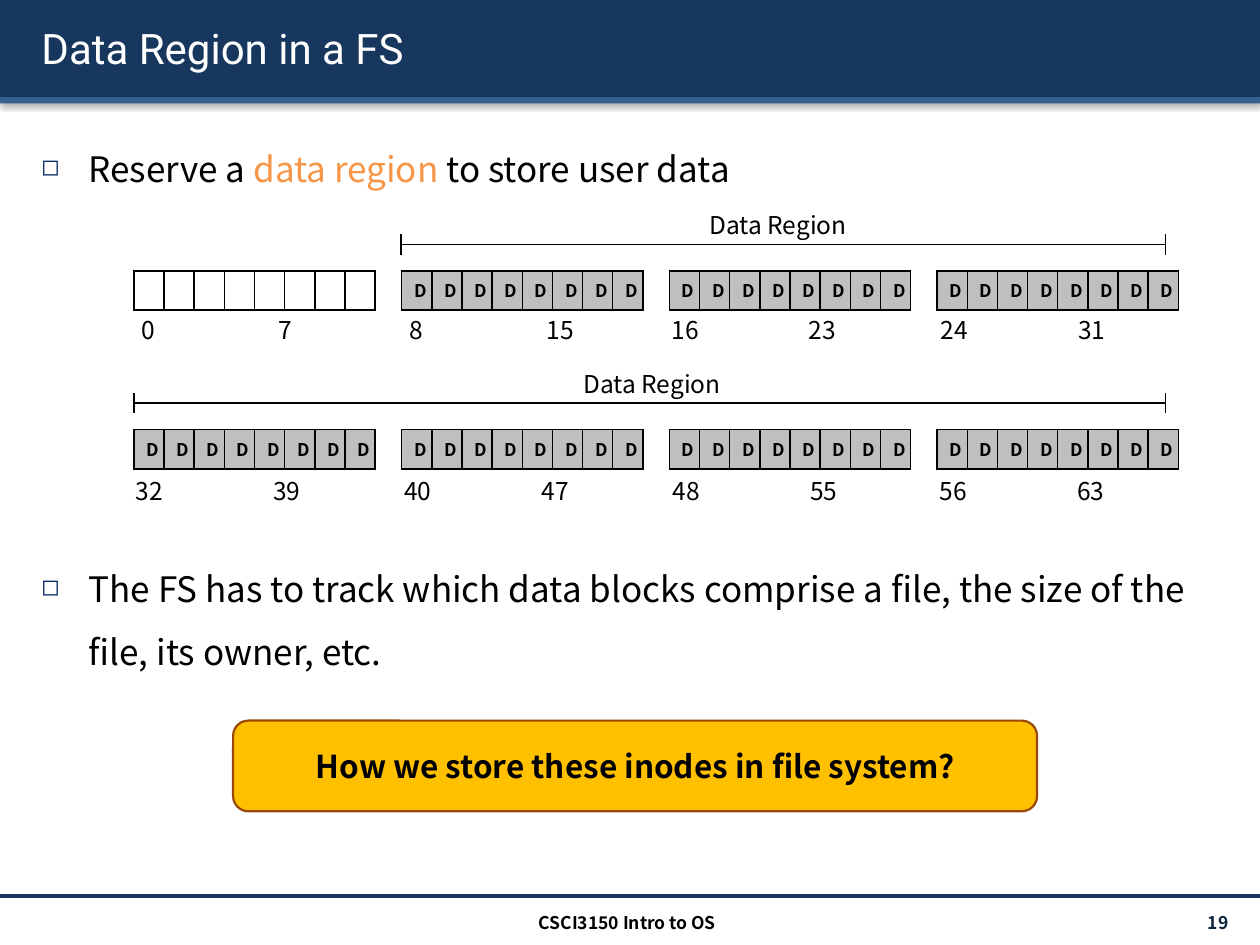
from lxml import etree
from pptx import Presentation
from pptx import util as u
from pptx.dml.color import RGBColor
from pptx.enum import shapes, text
from pptx.oxml import parse_xml
from pptx.oxml.ns import qn

Pt = u.Pt
BODY = "Noto Sans CJK KR"
NS = 'xmlns:a="http://schemas.openxmlformats.org/drawingml/2006/main"'
SHADOW = ('<a:effectLst %s><a:outerShdw blurRad="%d" dist="%d" dir="%d" algn="t" rotWithShape="0">'
          '<a:srgbClr val="000000"><a:alpha val="%d"/></a:srgbClr></a:outerShdw></a:effectLst>')


def rgb(h):
    return RGBColor.from_string(h)


def write(p, words, size, color="000000", name=BODY, bold=False, align=None):
    """Add one formatted run to a paragraph."""
    p.alignment = align
    r = p.add_run()
    r.text = words
    for key, value in dict(size=Pt(size), name=name, bold=bold).items():
        setattr(r.font, key, value)
    r.font.color.rgb = rgb(color)
    return r


prs = Presentation()
prs.slide_width, prs.slide_height = Pt(720), Pt(540)
s = prs.slides.add_slide(prs.slide_layouts[5])
LEFT, CENTER, RIGHT = text.PP_ALIGN.LEFT, text.PP_ALIGN.CENTER, text.PP_ALIGN.RIGHT

# Header bands
for y, h, color in [(0, 55.5, "17375E"), (55.5, 3.6, "376092")]:
    sp = s.shapes.add_shape(shapes.MSO_SHAPE.RECTANGLE, 0, Pt(y), Pt(720), Pt(h))
    sp.fill.solid()
    sp.fill.fore_color.rgb = rgb(color)
    sp.line.fill.background()
    sp._element.spPr.append(parse_xml(SHADOW % (NS, Pt(3.1), Pt(1.6), 5400000, 38000)))

# Title, brought in front of the bands
title = s.shapes.title
s.shapes._spTree.append(title._element)
for key, value in dict(left=16.5, top=4.3, width=692, height=46).items():
    setattr(title, key, Pt(value))
title.text_frame.vertical_anchor = text.MSO_ANCHOR.MIDDLE
r = write(title.text_frame.paragraphs[0], "Data Region in a FS", 24, "FFFFFF", "Roboto", align=LEFT)
fill = r._r.rPr.find(qn("a:solidFill"))
fill.addnext(parse_xml(SHADOW % (NS, Pt(3), Pt(2), 2700000, 100000)))

# Body bullets; the space before the second one leaves room for the block map
tf = s.shapes.add_textbox(Pt(16.5), Pt(69), Pt(692), Pt(433.5)).text_frame
tf.word_wrap = True
bullets = [
    (4, [("Reserve a ", "000000"), ("data region", "F79646"), (" to store user data", "000000")]),
    (204, [("The FS has to track which data blocks comprise a file, the size of the file, "
            "its owner, etc.", "000000")]),
]
for i, (gap, runs) in enumerate(bullets):
    p = tf.add_paragraph() if i else tf.paragraphs[0]
    p.line_spacing, p.space_before = 1.5, Pt(gap)
    for words, color in runs:
        write(p, words, 20, color)
    pPr = p._p.get_or_add_pPr()
    pPr.set("marL", str(Pt(27)))
    pPr.set("indent", str(Pt(-27)))
    for tag in ('buClr %s><a:srgbClr val="002060"/></a:buClr>', 'buSzPct %s val="65000"/>',
                'buChar %s char="◻"/>'):
        pPr.append(parse_xml("<a:" + tag % NS))

# Block map: two rows of four groups, eight blocks each
GROUP, COLS, PITCH, X0 = 4, 8, 153, 76.5
label_x = [[73.5, 226.8, 376.6, 530.6], [70.6, 223.9, 377.3, 529.9]]
for row, (y, label_y) in enumerate([(154.8, 176.4), (245.5, 268.6)]):
    for g in range(GROUP):
        first = (row * GROUP + g) * COLS
        t = s.shapes.add_table(1, COLS, Pt(X0 + g * PITCH), Pt(y), Pt(131.2), Pt(22.5)).table
        t.first_row = t.horz_banding = False
        for col in t.columns:
            col.width = Pt(16.4)
        for c in t.rows[0].cells:
            p = c.text_frame.paragraphs[0]
            if first:
                write(p, "D", 10, bold=True, align=CENTER)
            else:
                etree.SubElement(p._p, qn("a:endParaRPr"), sz="1000")
            c.fill.solid()
            c.fill.fore_color.rgb = rgb("BFBFBF" if first else "FFFFFF")
            for i, side in enumerate("LRTB"):
                c._tc.tcPr.insert(i, parse_xml(
                    f'<a:ln{side} {NS} w="12700"><a:solidFill><a:srgbClr val="000000"/>'
                    f'</a:solidFill></a:ln{side}>'))

        # First and last block number, set apart by a tab stop
        sp = s.shapes.add_textbox(Pt(label_x[row][g]), Pt(label_y), Pt(146), Pt(24.5))
        sp.text_frame.word_wrap = True
        p = sp.text_frame.paragraphs[0]
        write(p, f"{first}\t{first + COLS - 1}", 14)
        p._p.get_or_add_pPr().append(parse_xml(
            f'<a:tabLst {NS}><a:tab pos="{Pt(78.5)}" algn="l"/></a:tabLst>'))

# Region brackets with captions
END = 666
for start, y, caption_x, caption_y in [(229, 139.7, 398.2, 116.6), (76.5, 230.4, 326.2, 207.4)]:
    for x1, y1, x2, y2 in [(start, y, END, y), (start, y - 5.8, start, y + 5.8),
                           (END, y - 5.8, END, y + 5.8)]:
        ln = s.shapes.add_connector(shapes.MSO_CONNECTOR.STRAIGHT, Pt(x1), Pt(y1), Pt(x2), Pt(y2))
        ln.line.color.rgb = rgb("000000")
        ln.line.width = Pt(1)
        etree.SubElement(ln._element.spPr, qn("a:effectLst"))
    sp = s.shapes.add_textbox(Pt(caption_x), Pt(caption_y), Pt(98), Pt(24.5))
    write(sp.text_frame.paragraphs[0], "Data Region", 14)

# Question box
sp = s.shapes.add_shape(shapes.MSO_SHAPE.ROUNDED_RECTANGLE, Pt(133.2), Pt(411.8), Pt(459.4), Pt(51.8))
sp.shadow.inherit = False
sp.fill.solid()
sp.fill.fore_color.rgb = rgb("FFC000")
sp.line.color.rgb = rgb("984807")
sp.line.width = Pt(1.25)
sp.text_frame.vertical_anchor = text.MSO_ANCHOR.MIDDLE
write(sp.text_frame.paragraphs[0], "How we store these inodes in file system?", 18, bold=True, align=CENTER)

# Footer rule, course name and page number
ln = s.shapes.add_connector(shapes.MSO_CONNECTOR.STRAIGHT, 0, Pt(512), Pt(720), Pt(512))
ln.line.color.rgb = rgb("17375E")
ln.line.width = Pt(2)
etree.SubElement(ln._element.spPr, qn("a:effectLst"))
for x, w, words, color, align in [(239, 239, "CSCI3150 Intro to OS", "000000", CENTER),
                                  (627, 82, "19", "0F243E", RIGHT)]:
    sp = s.shapes.add_textbox(Pt(x), Pt(518.8), Pt(w), Pt(17.3))
    sp.text_frame.word_wrap = True
    sp.text_frame.vertical_anchor = text.MSO_ANCHOR.MIDDLE
    write(sp.text_frame.paragraphs[0], words, 10, color, bold=True, align=align)

prs.save("out.pptx")
